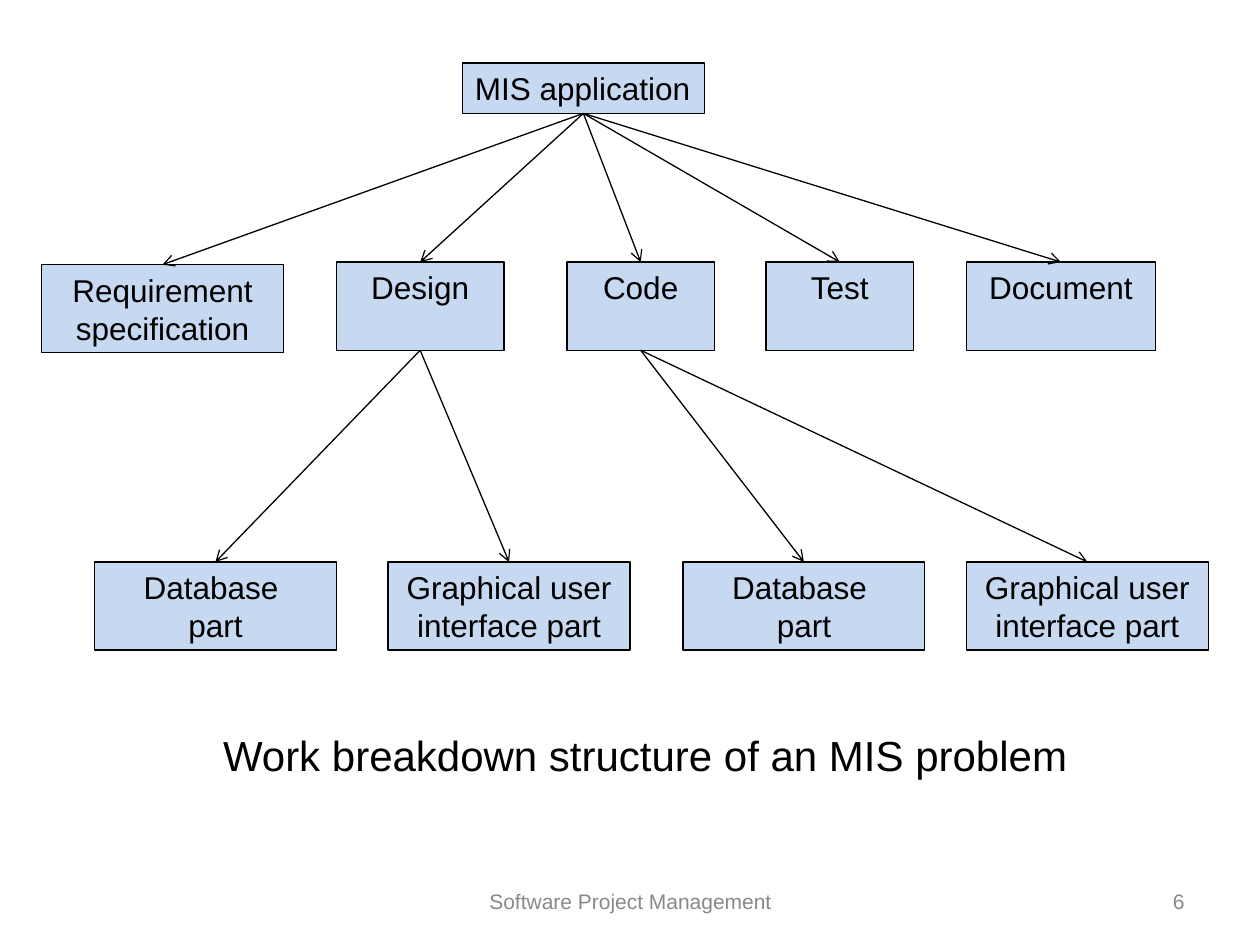
from dataclasses import dataclass

from lxml.etree import SubElement
from pptx import Presentation
from pptx.dml.color import RGBColor
from pptx.enum.shapes import MSO_CONNECTOR, MSO_SHAPE
from pptx.enum.text import MSO_ANCHOR, MSO_AUTO_SIZE, PP_ALIGN
from pptx.oxml.ns import qn
from pptx.util import Inches, Pt


@dataclass(frozen=True)
class Theme:
    font: str = "Arial"
    ink: RGBColor = RGBColor(0, 0, 0)
    muted: RGBColor = RGBColor(0x89, 0x89, 0x89)
    box: RGBColor = RGBColor(0xC6, 0xD9, 0xF1)
    box_size: Pt = Pt(18)
    caption_size: Pt = Pt(24)
    footer_size: Pt = Pt(12)
    line: Pt = Pt(0.75)


THEME = Theme()
TOP, BOTTOM = 0, 2  # connection sites of a rectangle
BOX_H = 0.7
WIDE = 1.92
ROW_2, ROW_3 = 2.08, 4.46

# Work items: key, text, left, top, width
ITEMS = [
    ("requirements", "Requirement specification", 0.33, 2.1, WIDE),
    ("design", "Design", 2.67, ROW_2, 1.33),
    ("code", "Code", 4.5, ROW_2, 1.17),
    ("test", "Test", 6.08, ROW_2, 1.17),
    ("document", "Document", 7.67, ROW_2, 1.5),
    ("design_db", "Database \npart", 0.75, ROW_3, WIDE),
    ("design_gui", "Graphical user interface part", 3.08, ROW_3, WIDE),
    ("code_db", "Database \npart", 5.42, ROW_3, WIDE),
    ("code_gui", "Graphical user interface part", 7.67, ROW_3, WIDE),
]

BREAKDOWN = {
    "mis": ["requirements", "document", "code", "design", "test"],
    "design": ["design_db", "design_gui"],
    "code": ["code_db", "code_gui"],
}


def apply(obj, values):
    for name, value in values.items():
        setattr(obj, name, value)


def set_text(sp, text, size, color=THEME.ink, align=PP_ALIGN.LEFT,
             anchor=MSO_ANCHOR.TOP):
    tf = sp.text_frame
    tf.text = text
    apply(tf, {"word_wrap": True, "auto_size": MSO_AUTO_SIZE.NONE,
               "vertical_anchor": anchor})
    for p in tf.paragraphs:
        p.alignment = align
        for r in p.runs:
            apply(r.font, {"name": THEME.font, "size": size})
            r.font.color.rgb = color


def add_box(s, text, left, top, width, height=BOX_H, align=PP_ALIGN.CENTER):
    sp = s.shapes.add_shape(MSO_SHAPE.RECTANGLE, Inches(left), Inches(top),
                            Inches(width), Inches(height))
    sp.shadow.inherit = False
    sp.fill.solid()
    sp.fill.fore_color.rgb = THEME.box
    sp.line.color.rgb = THEME.ink
    sp.line.width = THEME.line
    set_text(sp, text, THEME.box_size, align=align)
    return sp


def add_arrow(s, parent, child):
    cn = s.shapes.add_connector(MSO_CONNECTOR.STRAIGHT, 0, 0, 0, 0)
    cn.begin_connect(parent, BOTTOM)
    cn.end_connect(child, TOP)
    cn.line.color.rgb = THEME.ink
    cn.line.width = THEME.line
    SubElement(cn.line._get_or_add_ln(), qn("a:tailEnd"), type="arrow")
    SubElement(cn._element.spPr, qn("a:effectLst"))


def add_caption(s, text):
    sp = s.shapes.title
    apply(sp, {"left": Inches(1.67), "top": Inches(5.74),
               "width": Inches(7), "height": Inches(0.5)})
    set_text(sp, text, THEME.caption_size)


def add_footer(s, text, left, width, align):
    sp = s.shapes.add_textbox(Inches(left), Inches(6.95),
                              Inches(width), Inches(0.4))
    set_text(sp, text, THEME.footer_size, THEME.muted, align, MSO_ANCHOR.MIDDLE)


def main():
    prs = Presentation()
    apply(prs, {"slide_width": Inches(10), "slide_height": Inches(7.5)})
    s = prs.slides.add_slide(prs.slide_layouts.get_by_name("Title Only"))

    # Boxes of the breakdown tree
    boxes = {"mis": add_box(s, "MIS application", 3.67, 0.5, WIDE, 0.4,
                            PP_ALIGN.LEFT)}
    for key, *item in ITEMS:
        boxes[key] = add_box(s, *item)

    # Arrows from each parent to its parts
    for parent, children in BREAKDOWN.items():
        for child in children:
            add_arrow(s, boxes[parent], boxes[child])

    # Caption and footer
    add_caption(s, "Work breakdown structure of an MIS problem")
    add_footer(s, "Software Project Management", 3.42, 3.17, PP_ALIGN.CENTER)
    add_footer(s, "6", 7.17, 2.33, PP_ALIGN.RIGHT)

    prs.save("out.pptx")


if __name__ == "__main__":
    main()
